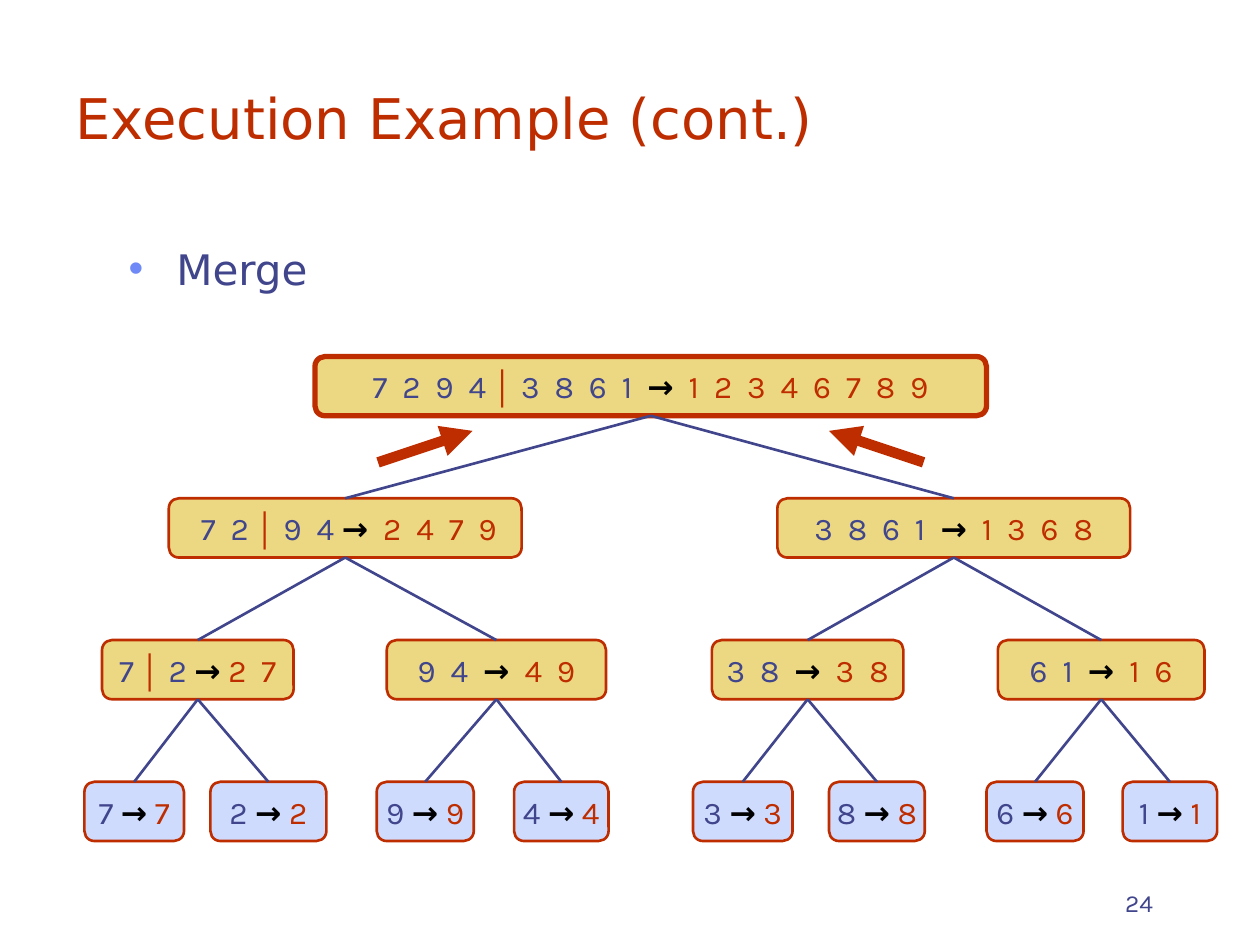
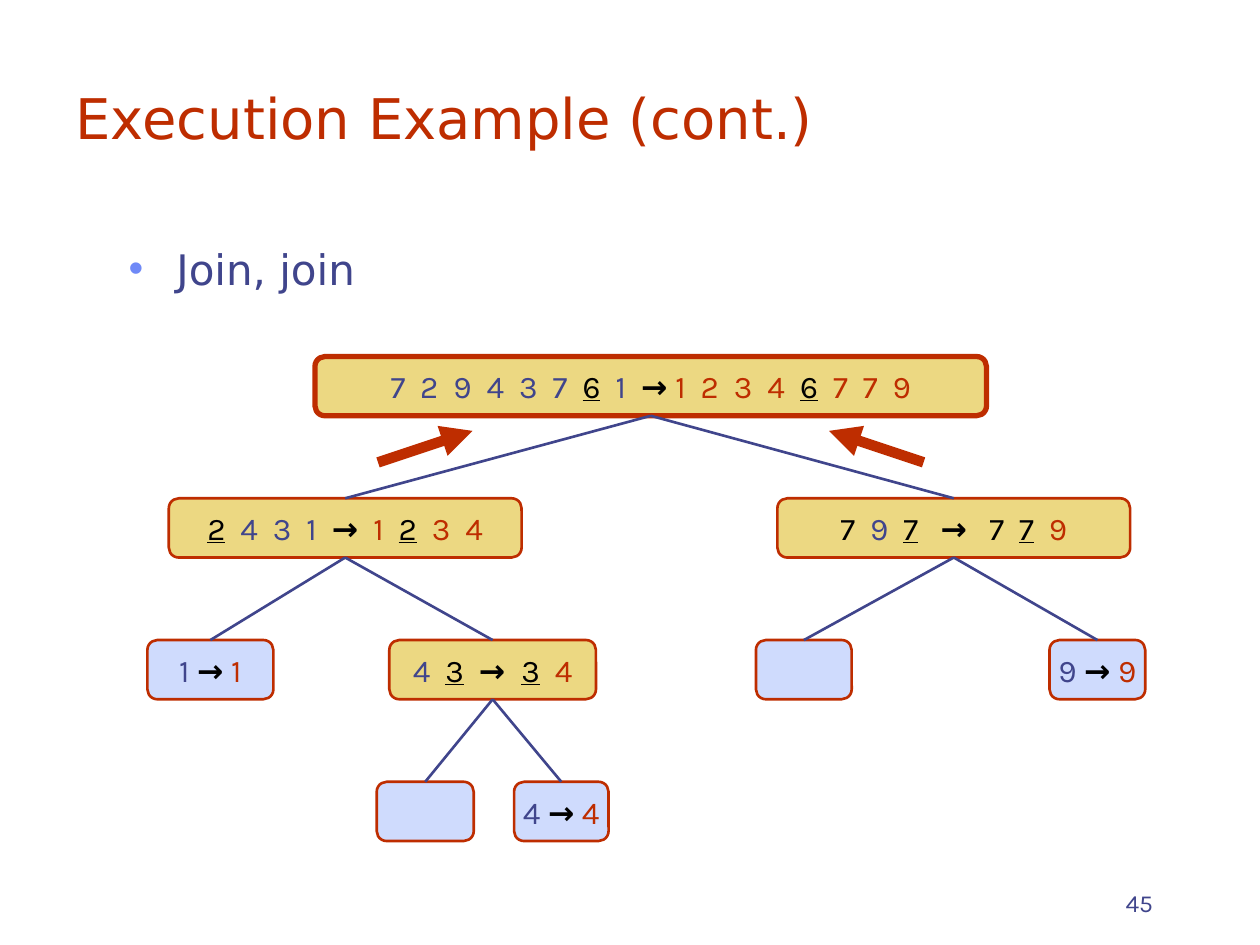
from dataclasses import dataclass

import pptx
import pptx.util
import pptx.dml.color
import pptx.enum.shapes
import pptx.enum.text
import pptx.oxml.ns
from lxml import etree

Inches, Pt = pptx.util.Inches, pptx.util.Pt
RGBColor = pptx.dml.color.RGBColor
PP_ALIGN, MSO_ANCHOR = pptx.enum.text.PP_ALIGN, pptx.enum.text.MSO_ANCHOR
MSO_SHAPE, MSO_CONNECTOR = pptx.enum.shapes.MSO_SHAPE, pptx.enum.shapes.MSO_CONNECTOR
qn = pptx.oxml.ns.qn

RED = RGBColor(0xBE, 0x2D, 0x00)
BLUE = RGBColor(0x40, 0x45, 0x8C)
BLACK = RGBColor(0, 0, 0)
GOLD = RGBColor(0xEC, 0xD8, 0x82)
PALE_BLUE = RGBColor(0xCF, 0xDB, 0xFD)
BULLET_COLOR = "6F89F7"

HEADING_FONT = "DejaVu Sans"
TEXT_FONT = "Karla"

# Tree geometry in inches
ROOT_TOP, LEVEL_STEP, NODE_HEIGHT = 2.83, 1.125, 0.47
BOTTOM, TOP = 2, 0

# Styles of the runs in a node: font, colour, bold, underline
INPUT = (TEXT_FONT, BLUE, False, False)
RESULT = (TEXT_FONT, RED, False, False)
ARROW = (TEXT_FONT, BLACK, True, False)
BAR = ("Arial", RED, True, False)
PIVOT = (TEXT_FONT, BLACK, False, True)
EQUAL = (TEXT_FONT, BLACK, False, False)


@dataclass
class Node:
    left: float
    width: float
    runs: list
    children: tuple = ()


def sorting(before, after):
    """Runs for 'before → after', with a bar where the input is split."""
    first, bar, second = before.partition("│")
    parts = [(first, INPUT), (bar, BAR), (second, INPUT), ("→", ARROW), (after, RESULT)]
    return [part for part in parts if part[0]]


def add_run(p, text, size, font, color, bold=False, underline=False):
    r = p.add_run()
    r.text = text
    r.font.name = font
    r.font.size = Pt(size)
    r.font.color.rgb = color
    r.font.bold = bold
    r.font.underline = underline


def place(sp, left, top, width, height):
    sp.left, sp.top = Inches(left), Inches(top)
    sp.width, sp.height = Inches(width), Inches(height)


def add_title(slide, text):
    sp = slide.shapes.title
    place(sp, 0.5, 0.33, 8.67, 0.92)
    tf = sp.text_frame
    tf.auto_size = pptx.enum.text.MSO_AUTO_SIZE.NONE
    tf.vertical_anchor = MSO_ANCHOR.BOTTOM
    p = tf.paragraphs[0]
    p.alignment = PP_ALIGN.LEFT
    add_run(p, text, 32, HEADING_FONT, RED)


def add_bullet(slide, text):
    sp = slide.placeholders[1]
    place(sp, 0.92, 1.83, 8.5, 0.75)
    tf = sp.text_frame
    tf.auto_size = pptx.enum.text.MSO_AUTO_SIZE.NONE
    tf.margin_top = Inches(0.1)
    p = tf.paragraphs[0]
    p.space_before = Pt(0)
    pPr = p._p.get_or_add_pPr()
    pPr.set("marL", str(Inches(0.38)))
    pPr.set("indent", str(-Inches(0.38)))
    color = etree.SubElement(pPr, qn("a:buClr"))
    etree.SubElement(color, qn("a:srgbClr"), val=BULLET_COLOR)
    etree.SubElement(pPr, qn("a:buChar"), char="•")
    add_run(p, text, 24, HEADING_FONT, BLUE)


def add_page_number(slide, number):
    sp = slide.shapes.add_textbox(Inches(7.17), Inches(6.83), Inches(2.08), Inches(0.5))
    tf = sp.text_frame
    tf.word_wrap = True
    tf.vertical_anchor = MSO_ANCHOR.BOTTOM
    p = tf.paragraphs[0]
    p.alignment = PP_ALIGN.RIGHT
    add_run(p, str(number), 14, TEXT_FONT, BLUE)


def add_line(slide, begin, end, color, width):
    points = [Inches(v) for v in (*begin, *end)]
    line = slide.shapes.add_connector(MSO_CONNECTOR.STRAIGHT, *points)
    line.line.color.rgb = color
    line.line.width = Pt(width)
    etree.SubElement(line._element.spPr, qn("a:effectLst"))
    return line


def add_merge_arrows(slide):
    """Thick arrows from both halves up to the root."""
    for tip, tail in ((3.75, 3), (6.58, 7.33)):
        arrow = add_line(slide, (tip, 3.42), (tail, 3.67), RED, 6)
        etree.SubElement(arrow.line._get_or_add_ln(), qn("a:headEnd"), type="triangle")


def add_node(slide, node, level):
    sp = slide.shapes.add_shape(
        MSO_SHAPE.ROUNDED_RECTANGLE, Inches(node.left),
        Inches(ROOT_TOP + level * LEVEL_STEP), Inches(node.width), Inches(NODE_HEIGHT))
    sp.shadow.inherit = False
    sp.fill.solid()
    sp.fill.fore_color.rgb = GOLD if node.children else PALE_BLUE
    sp.line.color.rgb = RED
    sp.line.width = Pt(1.5 if level else 3)
    tf = sp.text_frame
    tf.word_wrap = False
    tf.vertical_anchor = MSO_ANCHOR.MIDDLE
    p = tf.paragraphs[0]
    p.alignment = PP_ALIGN.CENTER
    for text, style in node.runs:
        add_run(p, text, 18, *style)
    return sp


def add_tree(slide, node, level=0):
    """Draw a node, its subtrees and the edges down to them."""
    parent = add_node(slide, node, level)
    for child_node in node.children:
        child = add_tree(slide, child_node, level + 1)
        edge = add_line(slide, (0, 0), (1, 1), BLUE, 1.5)
        edge.begin_connect(parent, BOTTOM)
        edge.end_connect(child, TOP)
    return parent


def leaf(left, width, digit):
    return Node(left, width, sorting(f"{digit} ", f" {digit}"))


def merge_sort_tree():
    return Node(2.5, 5.33, sorting("7  2  9  4 │ 3  8  6  1  ", "  1  2  3  4  6  7  8  9"), (
        Node(1.34, 2.8, sorting(" 7  2 │ 9  4 ", "  2  4  7  9"), (
            Node(0.81, 1.52, sorting("7 │ 2 ", " 2  7"),
                 (leaf(0.67, 0.79, 7), leaf(1.67, 0.92, 2))),
            Node(3.07, 1.74, sorting("9  4  ", "  4  9"),
                 (leaf(2.99, 0.77, 9), leaf(4.08, 0.75, 4))))),
        Node(6.17, 2.8, sorting("3  8  6  1  ", "  1  3  6  8"), (
            Node(5.65, 1.52, sorting("3  8  ", "  3  8"),
                 (leaf(5.5, 0.79, 3), leaf(6.58, 0.76, 8))),
            Node(7.92, 1.64, sorting("6  1  ", "  1  6"),
                 (leaf(7.83, 0.77, 6), leaf(8.91, 0.75, 1)))))))


def quick_sort_tree():
    root = [("7  2  9  4  3  7  ", INPUT), ("6", PIVOT), ("  1  ", INPUT), ("→ ", ARROW),
            ("1  2  3  4  ", RESULT), ("6", PIVOT), ("  7  7  9", RESULT)]
    smaller = [("2", PIVOT), ("  4  3  1  ", INPUT), ("→", ARROW),
               ("  1  ", RESULT), ("2", PIVOT), ("  3  4", RESULT)]
    larger = [("7", EQUAL), ("  9  ", INPUT), ("7", PIVOT), ("   ", INPUT), ("→", ARROW),
              ("   7  ", EQUAL), ("7", PIVOT), ("  9", RESULT)]
    three_four = [("4  ", INPUT), ("3", PIVOT), ("  ", INPUT), ("→  ", ARROW),
                  ("3", PIVOT), ("  4", RESULT)]
    return Node(2.5, 5.33, root, (
        Node(1.34, 2.8, smaller, (
            leaf(1.17, 1, 1),
            Node(3.09, 1.64, three_four, (Node(2.99, 0.77, []), leaf(4.08, 0.75, 4))))),
        Node(6.17, 2.8, larger, (Node(6, 0.76, []), leaf(8.33, 0.76, 9)))))


def add_example_slide(prs, step, number, tree):
    slide = prs.slides.add_slide(prs.slide_layouts[1])
    add_title(slide, "Execution Example (cont.)")
    add_bullet(slide, step)
    add_tree(slide, tree)
    add_merge_arrows(slide)
    add_page_number(slide, number)


def main():
    prs = pptx.Presentation()
    prs.slide_width, prs.slide_height = Inches(10), Inches(7.5)
    add_example_slide(prs, "Merge", 24, merge_sort_tree())
    add_example_slide(prs, "Join, join", 45, quick_sort_tree())
    prs.save("out.pptx")


if __name__ == "__main__":
    main()
